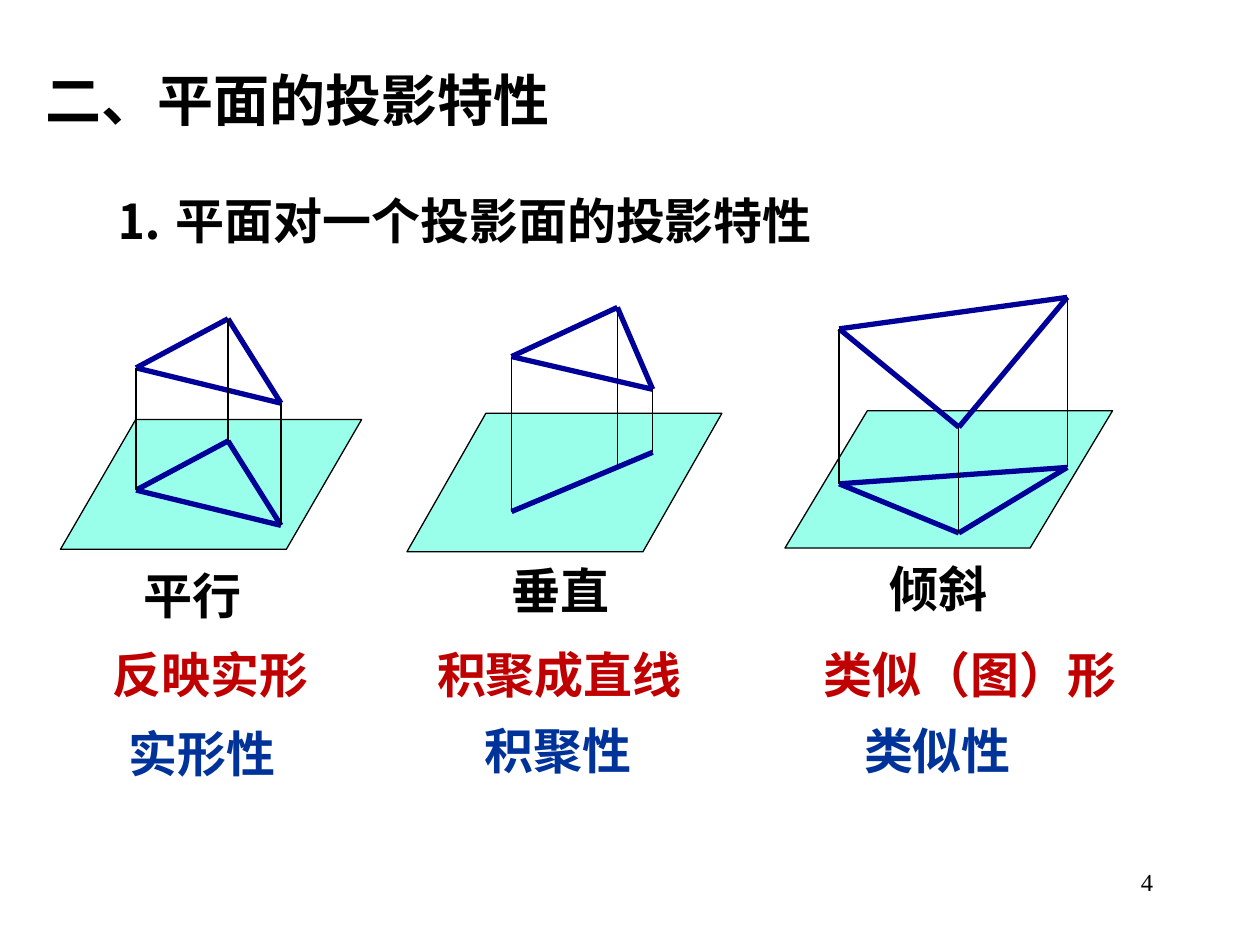
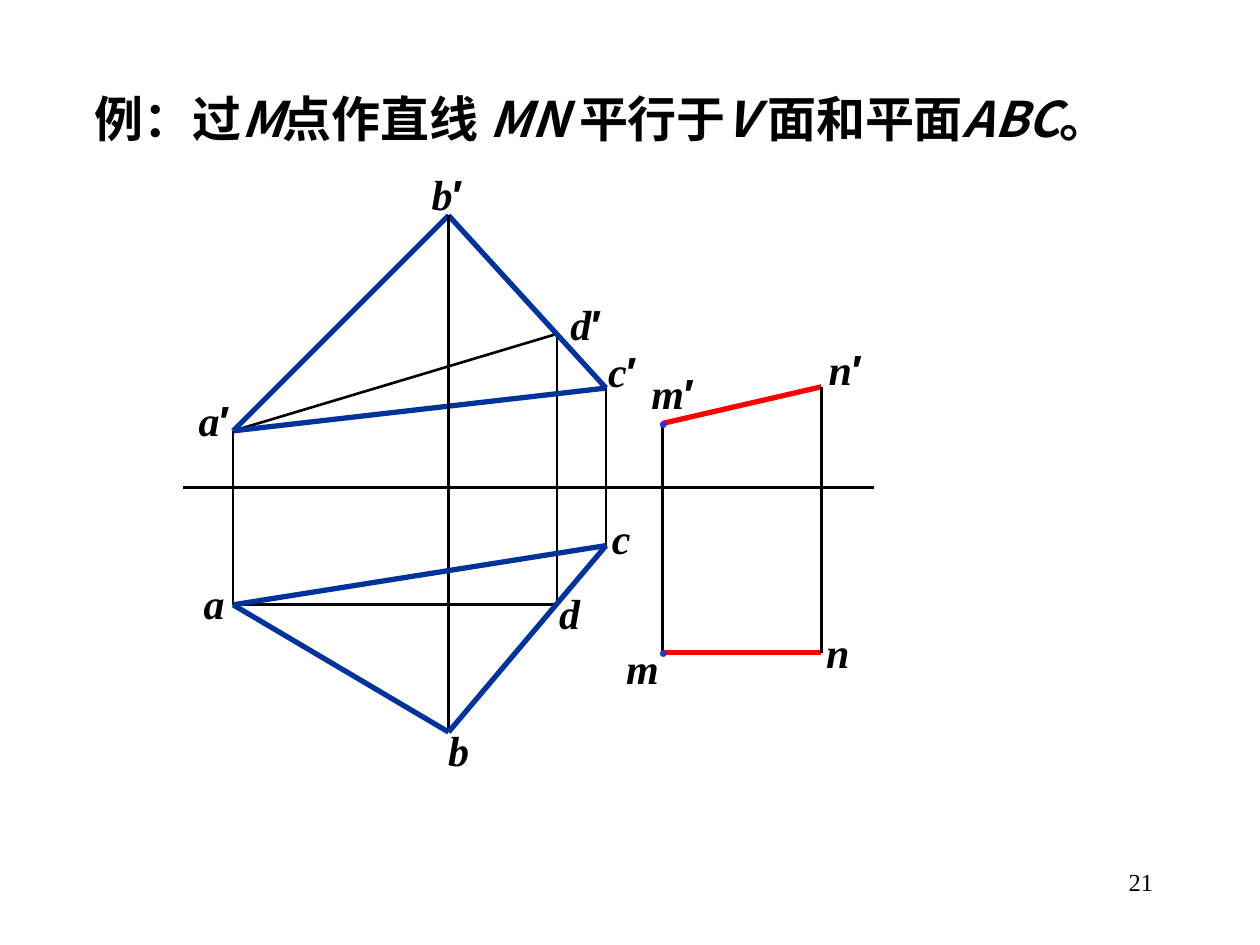
import itertools

import lxml.etree
import pptx
import pptx.dml.color
import pptx.enum.shapes
import pptx.enum.text
import pptx.oxml.ns
import pptx.util

Inches = pptx.util.Inches
ALIGN = pptx.enum.text.PP_ALIGN
ANCHOR = pptx.enum.text.MSO_ANCHOR

COLORS = {
    "black": "000000",
    "navy": "000099",
    "blue": "003399",
    "dark_red": "C00000",
    "red": "FF0000",
    "dot": "3333CC",
    "aqua": "00FFCC",
}
SERIF = "Times New Roman"
CHINESE = "Noto Sans CJK SC"
STYLES = {
    "page": {"name": SERIF, "size": 14, "color": "black", "bold": False},
    "title": {"name": SERIF, "size": 32, "color": "black", "bold": True, "east_asian": CHINESE},
    "heading": {"name": CHINESE, "size": 28, "color": "black", "bold": True, "east_asian": CHINESE},
    "position": {"name": SERIF, "size": 28, "color": "black", "bold": True, "east_asian": CHINESE},
    "result": {"name": SERIF, "size": 28, "color": "dark_red", "bold": True, "east_asian": CHINESE},
    "property": {"name": SERIF, "size": 28, "color": "blue", "bold": True, "east_asian": CHINESE},
    "label": {"name": SERIF, "size": 24, "color": "black", "bold": True},
    "prime": {"name": "Arial", "size": 24, "color": "black", "bold": True},
    "dot": {"name": SERIF, "size": 9, "color": "dot", "bold": True},
}


def add_text(slide, box, runs, align=ALIGN.LEFT, anchor=ANCHOR.TOP, wrap=True):
    shape = slide.shapes.add_textbox(*(Inches(value) for value in box))
    frame_format = {
        "word_wrap": wrap,
        "vertical_anchor": anchor,
        "auto_size": pptx.enum.text.MSO_AUTO_SIZE.SHAPE_TO_FIT_TEXT,
    }
    for attribute, value in frame_format.items():
        setattr(shape.text_frame, attribute, value)
    paragraph = shape.text_frame.paragraphs[0]
    paragraph.alignment = align
    for text, style_name, italic in runs:
        style = STYLES[style_name]
        run = paragraph.add_run()
        run.text = text
        font_format = {
            "name": style["name"],
            "size": pptx.util.Pt(style["size"]),
            "bold": style["bold"],
            "italic": italic,
        }
        for attribute, value in font_format.items():
            setattr(run.font, attribute, value)
        run.font.color.rgb = pptx.dml.color.RGBColor.from_string(COLORS[style["color"]])
        if "east_asian" in style:
            east_asian = lxml.etree.SubElement(run.font._element, pptx.oxml.ns.qn("a:ea"))
            east_asian.set("typeface", style["east_asian"])


def add_line(slide, start, end, color, width):
    connector = slide.shapes.add_connector(
        pptx.enum.shapes.MSO_CONNECTOR.STRAIGHT, *(Inches(value) for value in (*start, *end))
    )
    connector.line.color.rgb = pptx.dml.color.RGBColor.from_string(COLORS[color])
    connector.line.width = pptx.util.Pt(width)
    lxml.etree.SubElement(connector._element.spPr, pptx.oxml.ns.qn("a:effectLst"))


presentation = pptx.Presentation()
presentation.slide_width = Inches(10)
presentation.slide_height = Inches(7.5)

slides = []
for page_number in ("4", "21"):
    slide = presentation.slides.add_slide(presentation.slide_layouts[6])
    add_text(slide, (7.17, 6.83, 2.08, 0.5), [(page_number, "page", False)], ALIGN.RIGHT)
    slides.append(slide)
properties_slide, example_slide = slides

add_text(properties_slide, (0.26, 0.47, 4.91, 0.64), [("二、平面的投影特性", "title", False)])
add_text(
    properties_slide,
    (0.82, 1.46, 8.23, 0.57),
    [("⒈ 平面对一个投影面的投影特性", "heading", False)],
    anchor=ANCHOR.MIDDLE,
)

ALL_EDGES = [(0, 1), (1, 2), (2, 0)]
figures = [
    {
        "plane": (0.48, 3.33, 2.39, 1.03),
        "slant": 0.58,
        "triangle": [(1.08, 2.92), (1.81, 2.53), (2.23, 3.2)],
        "projection": [(1.08, 3.89), (1.81, 3.5), (2.23, 4.17)],
        "projected_edges": ALL_EDGES,
        "captions": [
            ("平行", "position", (0.92, 4.44, 1.22, 0.57)),
            ("反映实形", "result", (0.42, 5.07, 2.5, 0.57)),
            ("实形性", "property", (0.35, 5.69, 2.5, 0.57)),
        ],
    },
    {
        "plane": (3.23, 3.28, 2.5, 1.1),
        "slant": 0.57,
        "triangle": [(4.06, 2.83), (4.9, 2.44), (5.18, 3.09)],
        "projection": [(4.06, 4.06), (4.9, 3.71), (5.18, 3.59)],
        "projected_edges": [(0, 2)],
        "captions": [
            ("垂直", "position", (3.9, 4.4, 1.1, 0.57)),
            ("积聚成直线", "result", (3.19, 5.07, 2.5, 0.57)),
            ("积聚性", "property", (3.18, 5.67, 2.5, 0.57)),
        ],
    },
    {
        "plane": (6.23, 3.26, 2.6, 1.09),
        "slant": 0.6,
        "triangle": [(6.66, 2.61), (7.61, 3.39), (8.47, 2.36)],
        "projection": [(6.66, 3.84), (7.61, 4.23), (8.47, 3.71)],
        "projected_edges": ALL_EDGES,
        "captions": [
            ("倾斜", "position", (6.91, 4.38, 1.07, 0.57)),
            ("类似（图）形", "result", (6.15, 5.07, 3.1, 0.57)),
            ("类似性", "property", (6.19, 5.67, 2.5, 0.57)),
        ],
    },
]
for figure in figures:
    plane = properties_slide.shapes.add_shape(
        pptx.enum.shapes.MSO_SHAPE.PARALLELOGRAM, *(Inches(value) for value in figure["plane"])
    )
    plane.adjustments[0] = figure["slant"]
    plane.shadow.inherit = False
    plane.fill.solid()
    plane.fill.fore_color.rgb = pptx.dml.color.RGBColor.from_string(COLORS["aqua"])
    plane_color = plane._element.spPr.find(".//" + pptx.oxml.ns.qn("a:srgbClr"))
    lxml.etree.SubElement(plane_color, pptx.oxml.ns.qn("a:alpha")).set("val", "40000")
    plane.line.color.rgb = pptx.dml.color.RGBColor.from_string(COLORS["black"])
    plane.line.width = pptx.util.Pt(0.75)

    triangle, projection = figure["triangle"], figure["projection"]
    for first, second in ALL_EDGES:
        add_line(properties_slide, triangle[first], triangle[second], "navy", 3)
    for first, second in figure["projected_edges"]:
        add_line(properties_slide, projection[first], projection[second], "navy", 3)
    for corner, foot in zip(triangle, projection):
        add_line(properties_slide, corner, foot, "black", 0.75)
    for text, style_name, box in figure["captions"]:
        anchor = ANCHOR.MIDDLE if style_name == "position" else ANCHOR.TOP
        add_text(properties_slide, box, [(text, style_name, False)], ALIGN.CENTER, anchor)

example_title = ["例：过", "M", "点作直线 ", "MN ", "平行于", "V ", "面和平面", "ABC", "。"]
add_text(
    example_slide,
    (0.65, 0.65, 8.66, 0.57),
    [(text, "heading", italic) for text, italic in zip(example_title, itertools.cycle((False, True)))],
    anchor=ANCHOR.MIDDLE,
)

points = {
    "a′": (1.85, 3.42),
    "b′": (3.56, 1.71),
    "c′": (4.81, 3.08),
    "d′": (4.42, 2.65),
    "m′": (5.26, 3.36),
    "n′": (6.52, 3.07),
    "a": (1.85, 4.8),
    "b": (3.56, 5.81),
    "c": (4.81, 4.33),
    "d": (4.42, 4.8),
    "m": (5.26, 5.18),
    "n": (6.52, 5.18),
    "axis start": (1.45, 3.87),
    "axis end": (6.94, 3.87),
}
segments = [
    ("a′", "d′", "black", 1.5),
    ("m′", "n′", "red", 3),
    ("m", "n", "red", 3),
    ("a", "d", "black", 1.5),
    ("d′", "d", "black", 1.5),
    ("n′", "n", "black", 1.5),
    ("axis start", "axis end", "black", 1.5),
    ("m′", "m", "black", 1.5),
    ("a′", "b′", "blue", 3),
    ("b′", "c′", "blue", 3),
    ("a′", "c′", "blue", 3),
    ("c′", "c", "black", 1.5),
    ("a′", "a", "black", 1.5),
    ("b′", "b", "black", 1.5),
    ("a", "c", "blue", 3),
    ("a", "b", "blue", 3),
    ("b", "c", "blue", 3),
]
for start, end, color, width in segments:
    add_line(example_slide, points[start], points[end], color, width)

for center, top in ((5.26, 3.23), (5.26, 5.05)):
    add_text(
        example_slide,
        (center - 0.13, top, 0.27, 0.25),
        [("●", "dot", False)],
        ALIGN.CENTER,
        ANCHOR.MIDDLE,
        False,
    )

label_width = 0.8
labels = [
    ("a′", 1.7, 3.08),
    ("b′", 3.55, 1.29),
    ("c′", 4.94, 2.69),
    ("d′", 4.65, 2.32),
    ("m′", 5.34, 2.87),
    ("n′", 6.71, 2.68),
    ("a", 1.7, 4.53),
    ("b", 3.64, 5.7),
    ("c", 4.93, 4.02),
    ("d", 4.52, 4.61),
    ("m", 5.1, 5.05),
    ("n", 6.65, 4.92),
]
for name, center, top in labels:
    runs = [(name[0], "label", True)]
    if len(name) > 1:
        runs.append((name[1], "prime", False))
    box = (center - label_width / 2, top, label_width, 0.5)
    add_text(example_slide, box, runs, ALIGN.CENTER, ANCHOR.MIDDLE, False)

presentation.save("out.pptx")
